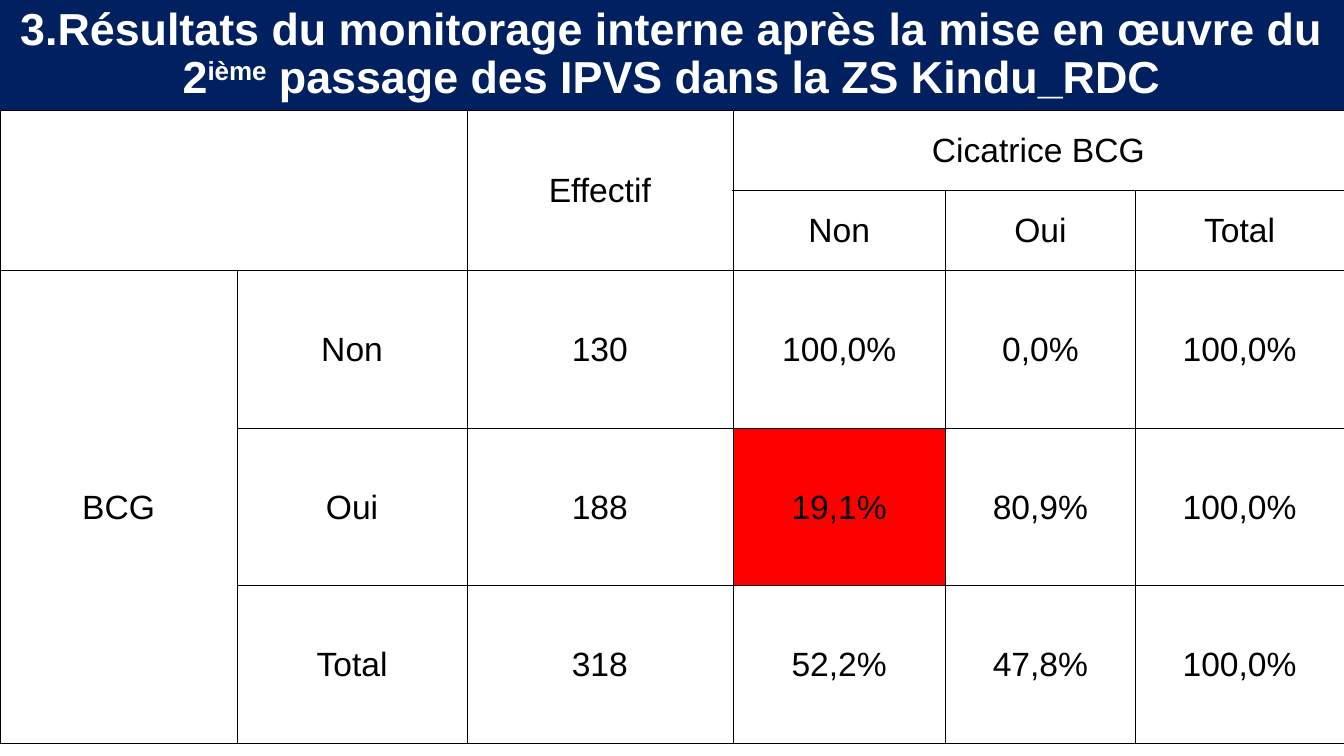
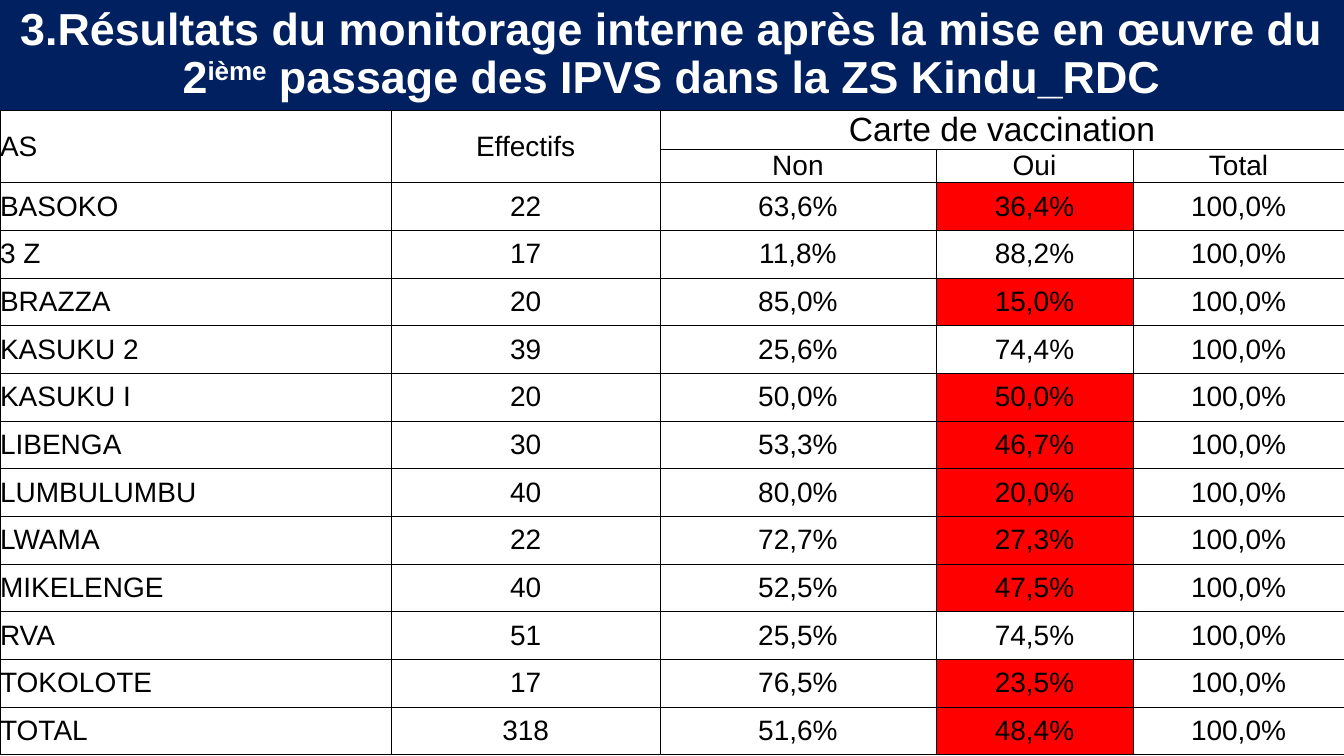
"""Build two slides on the internal monitoring results of the Kindu health zone."""
from lxml import etree
from pptx import Presentation
from pptx.dml.color import RGBColor
from pptx.enum import text
from pptx.oxml import ns
from pptx.util import Pt

NAVY = RGBColor(0x00, 0x20, 0x60)
WHITE = RGBColor(0xFF, 0xFF, 0xFF)
BLACK = RGBColor(0x00, 0x00, 0x00)
RED = RGBColor(0xFF, 0x00, 0x00)

FONT = "Arial"
SLIDE_WIDTH, SLIDE_HEIGHT = 960, 540
TITLE_HEIGHT = 78.5
BORDER_WIDTH = 0.5
COVERAGE_LIMIT = 50

TITLE_PARTS = [
    ("3.Résultats du monitorage interne après la mise en œuvre du 2", False),
    ("ième", True),
    (" passage des IPVS dans la ZS Kindu_RDC", False),
]

SCAR_ROWS = [
    ["", "", "Effectif", "Cicatrice BCG", "", ""],
    ["", "", "", "Non", "Oui", "Total"],
    ["BCG", "Non", "130", "100,0%", "0,0%", "100,0%"],
    ["", "Oui", "188", "19,1%", "80,9%", "100,0%"],
    ["", "Total", "318", "52,2%", "47,8%", "100,0%"],
]

CARD_HEADER = [
    ["AS", "Effectifs", "Carte de vaccination", "", ""],
    ["", "", "Non", "Oui", "Total"],
]
CARD_AREAS = [
    ["BASOKO", "22", "63,6%", "36,4%", "100,0%"],
    ["3 Z", "17", "11,8%", "88,2%", "100,0%"],
    ["BRAZZA", "20", "85,0%", "15,0%", "100,0%"],
    ["KASUKU 2", "39", "25,6%", "74,4%", "100,0%"],
    ["KASUKU I", "20", "50,0%", "50,0%", "100,0%"],
    ["LIBENGA", "30", "53,3%", "46,7%", "100,0%"],
    ["LUMBULUMBU", "40", "80,0%", "20,0%", "100,0%"],
    ["LWAMA", "22", "72,7%", "27,3%", "100,0%"],
    ["MIKELENGE", "40", "52,5%", "47,5%", "100,0%"],
    ["RVA", "51", "25,5%", "74,5%", "100,0%"],
    ["TOKOLOTE", "17", "76,5%", "23,5%", "100,0%"],
    ["TOTAL", "318", "51,6%", "48,4%", "100,0%"],
]


def format_run(run, size, color, bold=False):
    """Apply the shared typeface to a run."""
    run.font.name = FONT
    run.font.size = Pt(size)
    run.font.bold = bold
    run.font.color.rgb = color


def add_titled_slide(deck):
    """Add a slide with the shared title band."""
    slide = deck.slides.add_slide(deck.slide_layouts[5])
    title = slide.shapes.title
    title.left, title.top = Pt(0), Pt(0)
    title.width, title.height = Pt(SLIDE_WIDTH), Pt(TITLE_HEIGHT)
    title.fill.solid()
    title.fill.fore_color.rgb = NAVY
    frame = title.text_frame
    frame.word_wrap = True
    frame.auto_size = text.MSO_AUTO_SIZE.NONE
    frame.vertical_anchor = text.MSO_ANCHOR.MIDDLE
    heading = frame.paragraphs[0]
    heading.alignment = text.PP_ALIGN.CENTER
    heading.line_spacing = 0.9
    for wording, raised in TITLE_PARTS:
        run = heading.add_run()
        run.text = wording
        format_run(run, 32, WHITE, bold=True)
        if raised:
            run.font._element.set("baseline", "30000")
    return slide


def add_borders(cell):
    """Draw a thin black line on each side of a cell."""
    properties = cell._tc.get_or_add_tcPr()
    for side in ("a:lnL", "a:lnR", "a:lnT", "a:lnB"):
        line = etree.SubElement(properties, ns.qn(side), w=str(Pt(BORDER_WIDTH)))
        fill = etree.SubElement(line, ns.qn("a:solidFill"))
        etree.SubElement(fill, ns.qn("a:srgbClr"), val=str(BLACK))


def format_cell(cell, wording, size, alignment, margin, highlighted):
    """Fill in one cell with its text, borders and background."""
    cell.margin_left = cell.margin_right = cell.margin_top = Pt(margin)
    cell.margin_bottom = Pt(0)
    cell.vertical_anchor = text.MSO_ANCHOR.MIDDLE
    add_borders(cell)
    if highlighted:
        cell.fill.solid()
        cell.fill.fore_color.rgb = RED
    else:
        cell.fill.background()
    if wording:
        paragraph = cell.text_frame.paragraphs[0]
        paragraph.text = wording
        paragraph.alignment = alignment
        format_run(paragraph.runs[0], size, BLACK)


def add_results_table(slide, rows, widths, heights, merges, highlights,
                      size=24, sizes=None, left_columns=(), margin=0):
    """Add a bordered table below the title band."""
    table = slide.shapes.add_table(
        len(rows), len(widths), Pt(0), Pt(TITLE_HEIGHT),
        Pt(sum(widths)), Pt(sum(heights))).table
    table.first_row = table.horz_banding = False
    for column, width in zip(table.columns, widths):
        column.width = Pt(width)
    for row, height in zip(table.rows, heights):
        row.height = Pt(height)
    for r, row in enumerate(rows):
        for c, wording in enumerate(row):
            alignment = text.PP_ALIGN.LEFT if c in left_columns else text.PP_ALIGN.CENTER
            format_cell(table.cell(r, c), wording, (sizes or {}).get((r, c), size),
                        alignment, margin, (r, c) in highlights)
    for first, last in merges:
        table.cell(*first).merge(table.cell(*last))


def add_scar_slide(deck):
    """Compare reported BCG vaccination with the BCG scar."""
    add_results_table(
        add_titled_slide(deck), SCAR_ROWS,
        widths=[169.5, 164, 190, 152, 135.5, 149],
        heights=[57.2] * 2 + [112.8] * 3,
        merges=[((0, 0), (1, 1)), ((0, 2), (1, 2)), ((0, 3), (0, 5)), ((2, 0), (4, 0))],
        highlights={(3, 3)}, margin=0.75)


def add_card_slide(deck):
    """Show vaccination card coverage by area, with low values highlighted."""
    rows = CARD_HEADER + CARD_AREAS
    covered = 3
    low = {(r, covered) for r, area in enumerate(CARD_AREAS, len(CARD_HEADER))
           if float(area[covered].rstrip("%").replace(",", ".")) <= COVERAGE_LIMIT}
    add_results_table(
        add_titled_slide(deck), rows,
        widths=[279.5, 192, 197, 141, 150.5],
        heights=[28, 24] + [34.05] * len(CARD_AREAS),
        merges=[((0, 0), (1, 0)), ((0, 1), (1, 1)), ((0, 2), (0, 4))],
        highlights=low, size=20, sizes={(0, 2): 24}, left_columns=(0,))


def main():
    """Build and save the deck."""
    deck = Presentation()
    deck.slide_width, deck.slide_height = Pt(SLIDE_WIDTH), Pt(SLIDE_HEIGHT)
    add_scar_slide(deck)
    add_card_slide(deck)
    deck.save("out.pptx")


if __name__ == "__main__":
    main()
